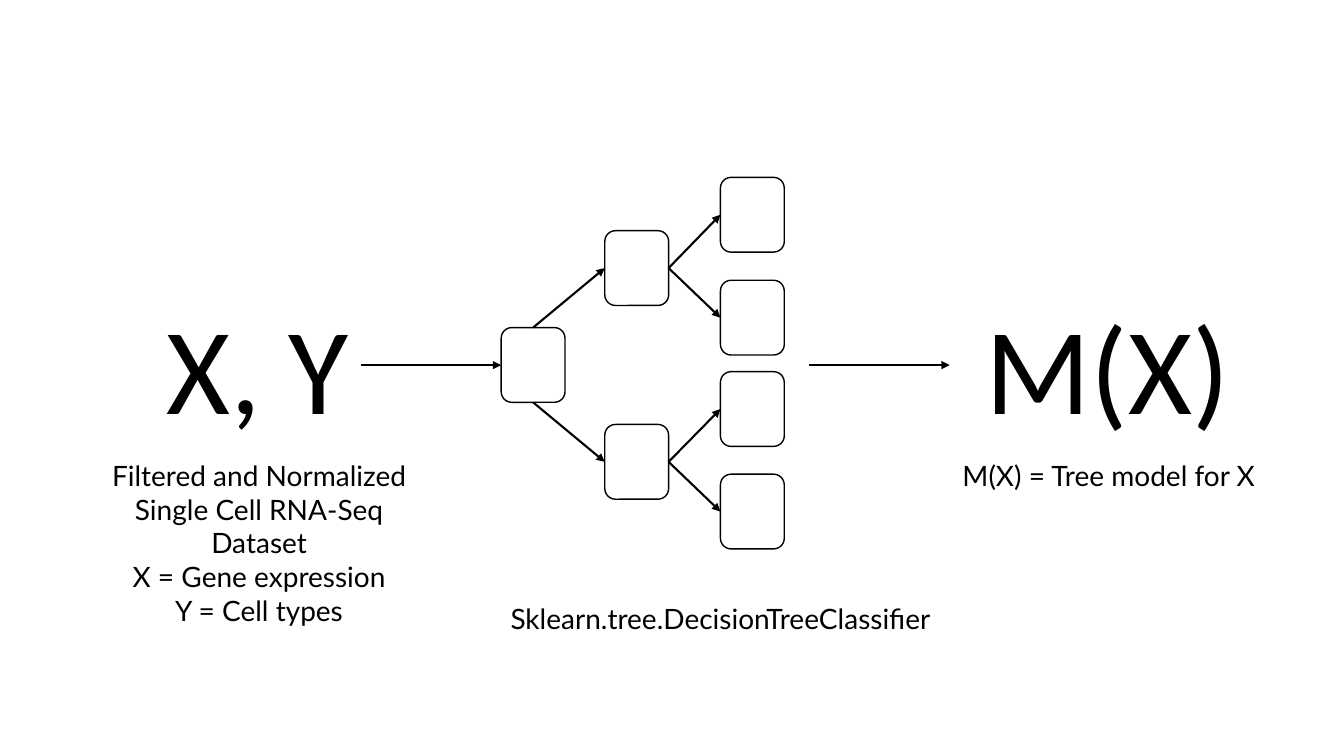
"""Build a slide showing a decision tree that turns a dataset into a model."""
from lxml import etree
from pptx import Presentation
from pptx.dml.color import RGBColor
from pptx.enum.shapes import MSO_CONNECTOR, MSO_SHAPE
from pptx.enum.text import MSO_AUTO_SIZE, PP_ALIGN
from pptx.oxml.ns import qn
from pptx.util import Pt

ROUNDED = MSO_SHAPE.ROUNDED_RECTANGLE
STRAIGHT = MSO_CONNECTOR.STRAIGHT
LEFT, CENTER = PP_ALIGN.LEFT, PP_ALIGN.CENTER
FIT_SHAPE = MSO_AUTO_SIZE.SHAPE_TO_FIT_TEXT

THEME = {
    "ink": RGBColor(0, 0, 0), "paper": RGBColor(255, 255, 255),
    "symbol_font": "Calibri", "symbol_size": 88,
    "caption_font": "Lato", "caption_size": 20,
    "outline": 1, "arrow": 1.5,
}

SYMBOLS = [("X, Y", (111.6, 204.5, 146.2, 113.8)), ("M(X)", (697, 204.5, 190, 113.8))]
CAPTIONS = [
    (["Filtered and Normalized Single Cell RNA-Seq Dataset",
      "X = Gene expression", "Y = Cell types"], (55.5, 324, 259.2, 104.4)),
    (["Sklearn.tree.DecisionTreeClassifier"], (350.6, 426, 328.3, 31.7)),
    (["M(X) = Tree model for X"], (662.4, 324, 259.2, 31.7)),
]
NODE_WIDTH, NODE_HEIGHT = 45.6, 53.4
ROOT = (358, 234)
BRANCH_LEFT, LEAF_LEFT = 432, 514.6
TREE = {164.8: (126.7, 200.2), 303.2: (265.5, 338.7)}
FLOW_Y, FLOW_LENGTH = 260.8, 100.2
FLOW_STARTS = [257.8, 578.2]


def add_node(page, left, top):
    node = page.shapes.add_shape(ROUNDED, Pt(left), Pt(top), Pt(NODE_WIDTH), Pt(NODE_HEIGHT))
    node.shadow.inherit = False
    node.fill.solid()
    node.fill.fore_color.rgb = THEME["paper"]
    node.line.color.rgb = THEME["ink"]
    node.line.width = Pt(THEME["outline"])


def add_arrow(page, start, end):
    arrow = page.shapes.add_connector(STRAIGHT, *(Pt(value) for value in start + end))
    arrow.line.color.rgb = THEME["ink"]
    arrow.line.width = Pt(THEME["arrow"])
    properties = arrow._element.spPr
    etree.SubElement(properties.find(qn("a:ln")), qn("a:tailEnd"), type="triangle")
    etree.SubElement(properties, qn("a:effectLst"))


def add_text(page, lines, area, *, style, align=CENTER, wrap=True):
    box = page.shapes.add_textbox(*(Pt(value) for value in area))
    frame = box.text_frame
    frame.word_wrap = wrap
    frame.auto_size = FIT_SHAPE
    for index, line in enumerate(lines):
        para = frame.add_paragraph() if index else frame.paragraphs[0]
        para.alignment = align
        span = para.add_run()
        span.text = line
        span.font.name = THEME[style + "_font"]
        span.font.size = Pt(THEME[style + "_size"])
        span.font.color.rgb = THEME["ink"]


def middle(top):
    return top + NODE_HEIGHT / 2


def add_tree(page):
    root_left, root_top = ROOT
    add_node(page, *ROOT)
    for branch_top, leaf_tops in TREE.items():
        add_node(page, BRANCH_LEFT, branch_top)
        exit_y = root_top if branch_top < root_top else root_top + NODE_HEIGHT
        branch_y = middle(branch_top)
        add_arrow(page, (root_left + NODE_WIDTH / 2, exit_y), (BRANCH_LEFT, branch_y))
        for leaf_top in leaf_tops:
            add_node(page, LEAF_LEFT, leaf_top)
            add_arrow(page, (BRANCH_LEFT + NODE_WIDTH, branch_y), (LEAF_LEFT, middle(leaf_top)))


deck = Presentation()
deck.slide_width, deck.slide_height = Pt(960), Pt(540)
page = deck.slides.add_slide(deck.slide_layouts[6])
add_tree(page)
for symbol, area in SYMBOLS:
    add_text(page, [symbol], area, style="symbol", align=LEFT, wrap=False)
for lines, area in CAPTIONS:
    add_text(page, lines, area, style="caption")
for start in FLOW_STARTS:
    add_arrow(page, (start, FLOW_Y), (start + FLOW_LENGTH, FLOW_Y))
deck.save("out.pptx")
